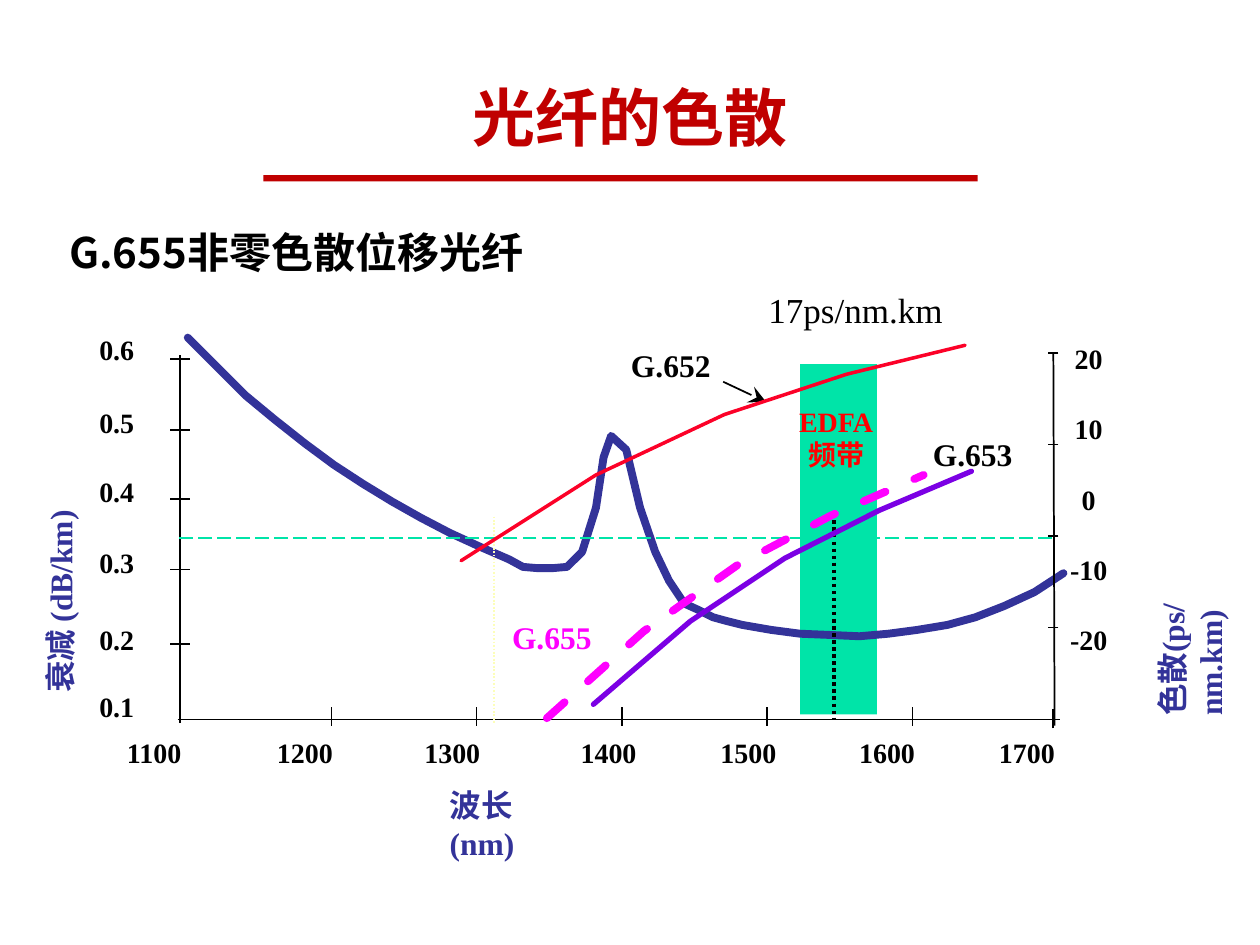
"""Build the slide on fibre dispersion with its attenuation and dispersion curves."""
from lxml.etree import SubElement
from pptx import Presentation
from pptx.dml.color import RGBColor
from pptx.enum.dml import MSO_LINE_DASH_STYLE as Dash
from pptx.enum.shapes import MSO_CONNECTOR as Link, MSO_SHAPE as Shape
from pptx.enum.text import MSO_ANCHOR as Anchor, PP_ALIGN as Align
from pptx.oxml.ns import qn
from pptx.util import Inches, Pt

BLACK = RGBColor(0, 0, 0)
DARK = RGBColor(0xC0, 0, 0)
RED = RGBColor(0xFF, 0, 0)
ROSE = RGBColor(0xFC, 0x01, 0x28)
NAVY = RGBColor(0x33, 0x33, 0x99)
GREEN = RGBColor(0, 0xE4, 0xA8)
CREAM = RGBColor(0xFC, 0xFE, 0xB9)
VIOLET = RGBColor(0x7B, 0, 0xE4)
PINK = RGBColor(0xFF, 0, 0xFF)
SANS, SERIF = "Noto Sans CJK SC", "Times New Roman"

LOSS = [
    (1.49, 2.68), (1.72, 2.91), (1.95, 3.14), (2.18, 3.33), (2.42, 3.52),
    (2.65, 3.69), (2.88, 3.84), (3.11, 3.98), (3.34, 4.11), (3.57, 4.23),
    (3.81, 4.34), (4.04, 4.44), (4.15, 4.5), (4.27, 4.51), (4.38, 4.51),
    (4.5, 4.5), (4.62, 4.38), (4.73, 4.03), (4.79, 3.63), (4.85, 3.46),
    (4.97, 3.57), (5.08, 4.03), (5.2, 4.38), (5.31, 4.61), (5.43, 4.79),
    (5.54, 4.84), (5.66, 4.9), (5.77, 4.93), (5.89, 4.96), (6.12, 5),
    (6.35, 5.03), (6.59, 5.04), (6.82, 5.05), (7.05, 5.03), (7.28, 5),
    (7.52, 4.96), (7.74, 4.9), (7.97, 4.81), (8.21, 4.7), (8.44, 4.55)]
G652 = [(3.66, 4.45), (4.73, 3.77), (5.75, 3.29), (6.72, 2.97), (7.66, 2.74)]
G653 = [(4.71, 5.59), (5.48, 4.93), (6.23, 4.43), (6.98, 4.05), (7.71, 3.74)]
G655 = [(4.34, 5.7), (5.11, 5.01), (5.86, 4.48), (6.6, 4.09), (7.33, 3.77)]
WAVES = [(1100, 0.91), (1200, 2.1), (1300, 3.27), (1400, 4.51),
         (1500, 5.62), (1600, 6.72), (1700, 7.83)]
LOSSES = [("0.6", 2.59), ("0.5", 3.17), ("0.4", 3.72),
          ("0.3", 4.28), ("0.2", 4.89), ("0.1", 5.42)]
TICKS = [2.85, 3.41, 3.96, 4.52, 5.11]
SHIFTS = ["20", "10", "0", "-10", "-20"]

deck = Presentation()
deck.slide_width, deck.slide_height = Inches(10), Inches(7.5)
shapes = deck.slides.add_slide(deck.slide_layouts[6]).shapes


def write(text, at, size, color=BLACK, font=SERIF, bold=True,
          align=Align.LEFT, wrap=False, turn=0):
    box = shapes.add_textbox(*map(Inches, at))
    box.rotation = turn
    frame = box.text_frame
    frame.word_wrap = wrap
    frame.text = text
    for para in frame.paragraphs:
        para.alignment = align
        for run in para.runs:
            face = run.font
            face.size, face.bold, face.name = Pt(size), bold, font
            face.color.rgb = color
            SubElement(run._r.rPr, qn("a:ea")).set("typeface", SANS)
    return frame


def block(at, color):
    rect = shapes.add_shape(Shape.RECTANGLE, *map(Inches, at))
    rect.shadow.inherit = False
    rect.fill.solid()
    rect.fill.fore_color.rgb = color
    rect.line.fill.background()


def style(pen, color, width, dash):
    pen.color.rgb, pen.width = color, Pt(width)
    if dash:
        pen.dash_style = dash


def rule(x1, y1, x2, y2, color=BLACK, width=1, dash=None):
    line = shapes.add_connector(Link.STRAIGHT, *map(Inches, (x1, y1, x2, y2)))
    style(line.line, color, width, dash)
    SubElement(line._element.spPr, qn("a:effectLst"))
    return line


def curve(points, color, width, dash=None):
    spots = [(Inches(x), Inches(y)) for x, y in points]
    pen = shapes.build_freeform(*spots[0])
    pen.add_line_segments(spots[1:], close=False)
    path = pen.convert_to_shape()
    path.shadow.inherit = False
    path.fill.background()
    style(path.line, color, width, dash)
    path.line._ln.set("cap", "rnd")


title = write("光纤的色散", (0.5, 0.3, 9, 1.25), 36, DARK, SANS,
              align=Align.CENTER, wrap=True)
title.vertical_anchor = Anchor.MIDDLE
block((2.09, 1.39, 5.67, 0.05), DARK)
head = write("G.655非零色散位移光纤", (0.45, 1.55, 8.72, 2.18), 24, font=SANS, wrap=True)
head.paragraphs[0].line_spacing = 1.5

block((6.35, 2.89, 0.61, 2.78), GREEN)
write("17ps/nm.km", (6, 2.24, 1.59, 0.44), 20, bold=False)
write("EDFA\n频带", (6.24, 3.16, 0.79, 0.63), 16, RED, align=Align.CENTER)

rule(1.41, 5.71, 8.41, 5.71)
for i in range(5):
    x = 2.63 + 1.153 * i
    rule(x, 5.76, x, 5.61)
curve(LOSS, NAVY, 4.5)
rule(1.43, 5.74, 1.43, 2.82)
for y in TICKS:
    rule(1.35, y, 1.51, y)
for text, y in LOSSES:
    write(text, (0.69, y, 0.6, 0.37), 16, wrap=True)
for wave, x in WAVES:
    write(str(wave), (x, 5.79, 0.64, 0.37), 16)
write("衰减 (dB/km)", (-0.43, 4.49, 1.81, 0.4), 18, NAVY, wrap=True, turn=270)
write("波长(nm)", (3.47, 6.19, 0.95, 0.7), 18, NAVY, wrap=True)

rule(3.92, 4.1, 3.92, 5.74, CREAM, 1, Dash.ROUND_DOT)
rule(6.62, 4.13, 6.62, 5.7, BLACK, 2, Dash.ROUND_DOT)
rule(8.35, 4.27, 1.41, 4.27, GREEN, 1, Dash.LONG_DASH)

rule(8.36, 5.78, 8.36, 5.63)
rule(8.37, 5.76, 8.36, 2.8)
for i in range(4):
    y = 2.8 + 0.727 * i
    rule(8.4, y, 8.32, y)
scale = write("\n".join(SHIFTS), (8.34, 2.65, 0.6, 2.63), 16,
              align=Align.CENTER, wrap=True)
for i, para in enumerate(scale.paragraphs):
    para.line_spacing = 1.05
    para.space_before = Pt(20 if i else 0)
write("色散(ps/nm.km)", (8.6, 4.58, 1.7, 0.7), 18, NAVY, wrap=True, turn=270)

write("G.653", (6.83, 3.4, 1.78, 0.4), 18, align=Align.CENTER, wrap=True)
curve(G653, VIOLET, 3)
arrow = rule(5.74, 3.03, 6.08, 3.19)
tip = SubElement(arrow.line._ln, qn("a:tailEnd"))
for key, value in (("type", "stealth"), ("w", "lg"), ("len", "lg")):
    tip.set(key, value)
write("G.652", (4.91, 2.7, 0.83, 0.4), 18)
curve(G652, ROSE, 2)
curve(G655, PINK, 4.5, Dash.DASH)
write("G.655", (3.96, 4.86, 0.84, 0.4), 18, PINK, align=Align.CENTER)

deck.save("out.pptx")
